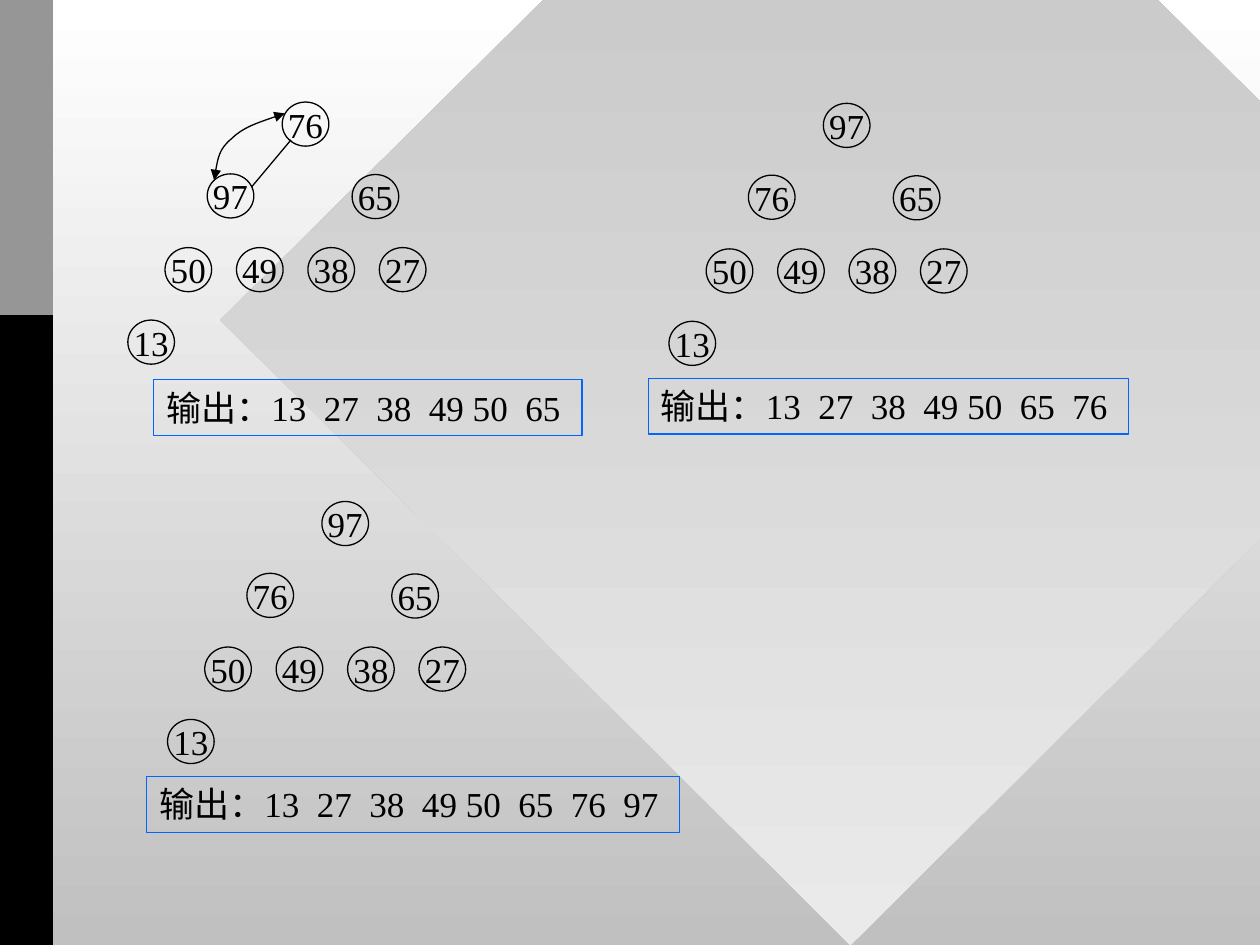
from lxml.etree import SubElement
from pptx import Presentation
from pptx.dml.color import RGBColor
from pptx.enum.shapes import MSO_CONNECTOR, MSO_SHAPE
from pptx.enum.text import MSO_ANCHOR, MSO_AUTO_SIZE, PP_ALIGN
from pptx.oxml.ns import qn
from pptx.util import Inches, Pt

INK = RGBColor(0x01, 0x00, 0x00)
BLUE = RGBColor(0x00, 0x66, 0xFF)
BLACK = RGBColor(0x00, 0x00, 0x00)
GRAY = RGBColor(0x96, 0x96, 0x96)
WHITE = RGBColor(0xFF, 0xFF, 0xFF)
SILVER = RGBColor(0xC0, 0xC0, 0xC0)
PALE = RGBColor(0xEA, 0xEA, 0xEA)

prs = Presentation()
prs.slide_width, prs.slide_height = Inches(10), Inches(7.5)
s = prs.slides.add_slide(prs.slide_layouts[6])
COL = prs.slide_width / 100
ROW = prs.slide_height / 75


def shade(fill, top, bottom):
    fill.gradient()
    fill.gradient_angle = 270
    for stop, color in zip(fill.gradient_stops, (top, bottom)):
        stop.color.rgb = color


def add_box(shapes, kind, x, y, w, h, line=None, text=""):
    sp = shapes.add_shape(kind, int(x * COL), int(y * ROW), int(w * COL), int(h * ROW))
    sp.shadow.inherit = False
    sp.fill.background()
    if line is None:
        sp.line.fill.background()
    else:
        sp.line.color.rgb = line
        sp.line.width = Pt(0.75)
    if text:
        tf = sp.text_frame
        tf.word_wrap = False
        p = tf.paragraphs[0]
        p.text = text
        p.alignment = PP_ALIGN.CENTER
        p.font.name = "Times New Roman"
        p.font.size = Pt(20)
        p.font.color.rgb = INK
    return sp


shade(s.background.fill, WHITE, SILVER)
diamond = add_box(s.shapes, MSO_SHAPE.DIAMOND, 17.5, -24.2, 100, 99.2)
shade(diamond.fill, SILVER, PALE)
for height, color in ((75, BLACK), (25, GRAY)):
    band = add_box(s.shapes, MSO_SHAPE.RECTANGLE, 0, 0, 4.2, height)
    band.fill.solid()
    band.fill.fore_color.rgb = color

NODES = [(0, 0), (-5.95, 5.7), (5.55, 5.75)]
NODES += [(-9.3 + 5.67 * i, 11.55) for i in range(4)] + [(-12.25, 17.3)]
LOWER_KEYS = [65, 50, 49, 38, 27, 13]

HEAPS = [
    (22.4, 8.1, [76, 97], (12.2, 30.15, 34), "输出：13  27  38  49 50  65"),
    (65.35, 8.2, [97, 76], (51.45, 30.05, 38.15), "输出：13  27  38  49 50  65  76"),
    (25.55, 39.8, [97, 76], (11.65, 61.65, 42.3), "输出：13  27  38  49 50  65  76  97"),
]
heap_groups = []
for x, y, top_keys, (left, top, width), output in HEAPS:
    group = s.shapes.add_group_shape()
    heap_groups.append(group)
    for (dx, dy), key in zip(NODES, top_keys + LOWER_KEYS):
        node = add_box(group.shapes, MSO_SHAPE.OVAL, x + dx, y + dy, 3.7, 3.5, INK, str(key))
        node.text_frame.vertical_anchor = MSO_ANCHOR.MIDDLE
    label = add_box(group.shapes, MSO_SHAPE.RECTANGLE, left, top, width, 4.4, BLUE, output)
    tf = label.text_frame
    tf.margin_right = 0
    tf.vertical_anchor = MSO_ANCHOR.TOP
    tf.auto_size = MSO_AUTO_SIZE.NONE
    tf.paragraphs[0].alignment = PP_ALIGN.LEFT

edge = heap_groups[0].shapes.add_connector(
    MSO_CONNECTOR.STRAIGHT, int(23.1 * COL), int(11.1 * ROW), int(20 * COL), int(14.8 * ROW))
edge.line.color.rgb = INK
edge.line.width = Pt(0.75)
SubElement(edge._element.spPr, qn("a:effectLst"))

CURVE = [(20.9, 9.6), (19.3, 10.1), (18.4, 11), (17.4, 11.8), (17.2, 13), (17, 14.3)]
builder = s.shapes.build_freeform(int(22.6 * COL), int(9 * ROW))
builder.add_line_segments([(int(x * COL), int(y * ROW)) for x, y in CURVE], close=False)
swap = builder.convert_to_shape()
swap.shadow.inherit = False
swap.fill.background()
swap.line.color.rgb = INK
swap.line.width = Pt(0.75)
segments = list(swap._element.iter(qn("a:lnTo")))
outline = segments[0].getparent()
for i in range(0, len(segments), 3):
    bezier = SubElement(outline, qn("a:cubicBezTo"))
    for segment in segments[i:i + 3]:
        bezier.append(segment[0])
        outline.remove(segment)
for end in ("a:headEnd", "a:tailEnd"):
    SubElement(swap.line._get_or_add_ln(), qn(end), type="triangle")

prs.save("out.pptx")
